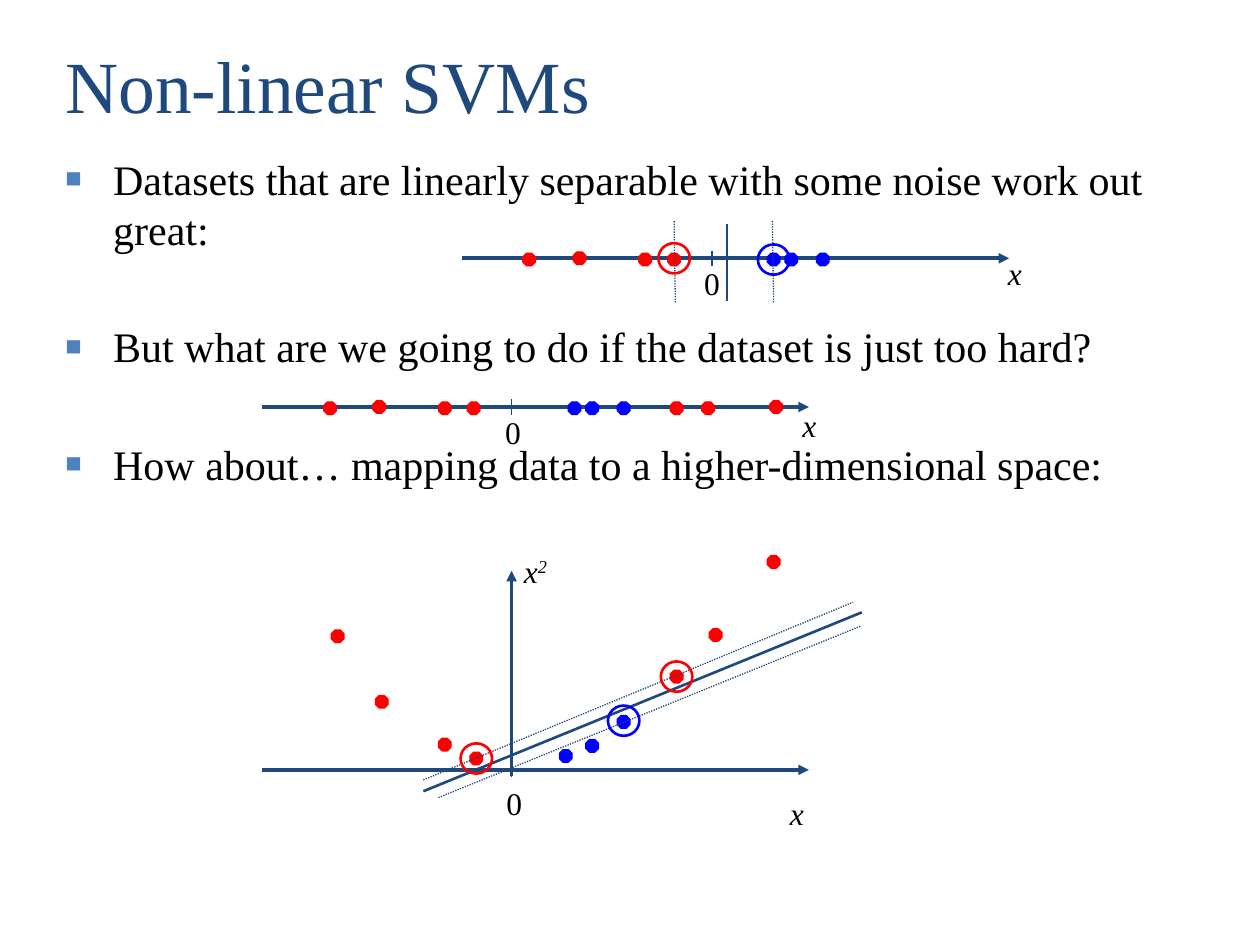
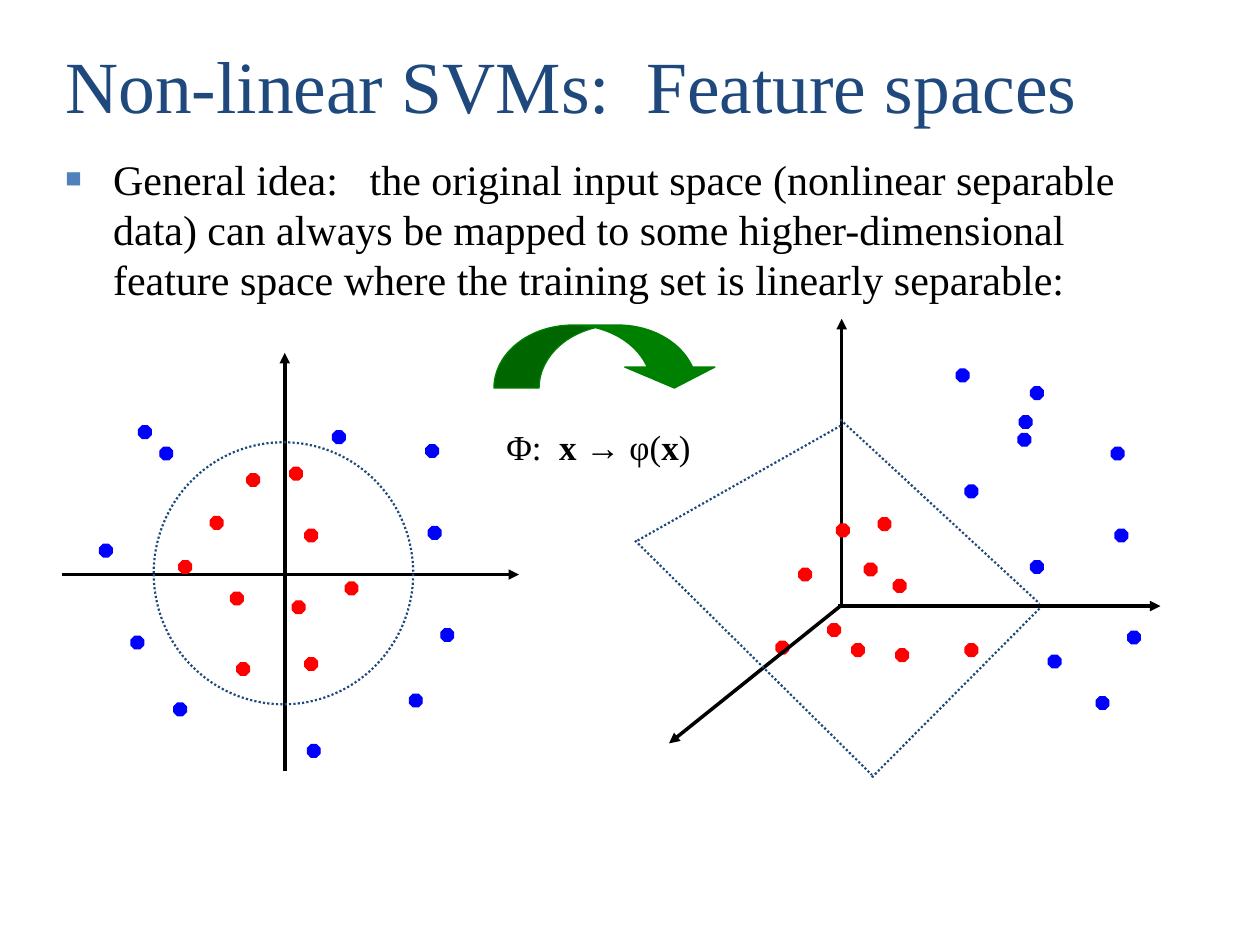
from lxml.etree import SubElement
from pptx import Presentation
from pptx.dml.color import RGBColor
from pptx.enum.dml import MSO_LINE_DASH_STYLE as Dash
from pptx.enum.shapes import MSO_CONNECTOR as Connector, MSO_SHAPE as Shape
from pptx.enum.text import MSO_ANCHOR as Anchor
from pptx.oxml.ns import qn
from pptx.util import Inches, Pt

COLORS = {"navy": "1F497D", "bullet": "4F81BD", "black": "000000",
          "red": "FF0000", "blue": "0000FF", "green": "008000"}
FONT = "Times New Roman"
SLIDE_WIDTH, SLIDE_HEIGHT = 10, 7.5
MARGIN = 0.42
DOT_SIZE = 0.1
RING_SIZE = (0.25, 0.24)
AXIS_REACH = (-1.98, 2.36)  # ends of a number line, measured from its zero
BULLET_INDENT = 0.38
LINE_PITCH = 28.6

# A run is a string or (text, format).
WIDE_SPACE = (" ", {"spacing": 10})
EXTRA_WIDE_SPACE = (" ", {"spacing": 12})

NOISY_TITLE = ["Non-linear SVMs"]
NOISY_BULLETS = [
    ["Datasets that are linearly separable with some noise work out great:"],
    ["But what are we going to do if the dataset is just too hard?"],
    ["How about… mapping data to a higher-dimensional space:"],
]
FEATURE_TITLE = ["Non-linear SVMs:", WIDE_SPACE, "Feature spaces"]
FEATURE_BULLETS = [
    ["General idea:", EXTRA_WIDE_SPACE,
     "the original input space (nonlinear separable data) can always be mapped "
     "to some higher-dimensional feature space where the training set is "
     "linearly separable:"],
]
MAPPING = ["Φ:", ("  "[:1], {"spacing": 5}), ("x → ", {"bold": True}),
           "φ(", ("x", {"bold": True}), ")"]

# Dots and lines are (right of zero, above the axis).
PLOTS = {
    "separable": {
        "zero": (5.65, 2.05), "zero_label": (-0.16, 0), "x_label": (2.25, -0.08),
        "red": [(-1.45, -0.01), (-1.05, 0), (-0.53, -0.01), (-0.3, -0.01)],
        "blue": [(0.63, -0.01), (0.88, -0.01), (0.49, -0.01)],
        "support": {"red": [(-0.3, 0)], "blue": [(0.49, -0.01)]},
        "boundary": [(0.12, 0.27), (0.12, -0.34)],
        "margins": [[(0.49, -0.35), (0.48, 0.3)], [(-0.29, -0.35), (-0.3, 0.3)]],
    },
    "too hard": {
        "zero": (4.06, 3.23), "zero_label": (-0.15, 0), "x_label": (2.21, -0.06),
        "red": [(-1.44, -0.01), (-1.05, 0), (-0.53, -0.01), (-0.3, -0.01),
                (1.31, -0.01), (1.56, -0.01), (2.1, 0)],
        "blue": [(0.64, -0.01), (0.89, -0.01), (0.5, -0.01)],
    },
    "squared": {
        "zero": (4.06, 6.11), "zero_label": (-0.14, 0.06), "x_label": (2.11, 0.14),
        "red": [(-1.38, 1.06), (-1.03, 0.54), (-0.53, 0.2), (-0.28, 0.09),
                (1.31, 0.74), (1.62, 1.07), (2.08, 1.65)],
        "blue": [(0.64, 0.19), (0.89, 0.38), (0.43, 0.11)],
        "support": {"red": [(1.31, 0.74), (-0.28, 0.09)], "blue": [(0.89, 0.39)]},
        "boundary": [(-0.7, -0.17), (2.78, 1.25)],
        "margins": [[(-0.7, -0.08), (2.71, 1.33)], [(-0.58, -0.22), (2.77, 1.14)]],
        "vertical": [(0, -0.05), (0, 1.58)],
    },
}

# Dot centres and line ends in inches on the slide.
INPUT_SPACE = {
    "axes": [[(2.26, 6.12), (2.26, 2.8)], [(0.49, 4.56), (4.12, 4.56)]],
    "red": [(2.35, 3.76), (1.72, 4.15), (1.88, 4.75), (2.47, 5.27), (2.01, 3.81),
            (1.47, 4.5), (1.93, 5.31), (2.47, 4.25), (2.79, 4.67), (2.37, 4.82)],
    "blue": [(3.45, 4.23), (3.3, 5.56), (0.84, 4.37), (2.49, 5.96), (3.55, 5.04),
             (1.43, 5.63), (1.09, 5.1), (1.15, 3.43), (2.69, 3.47), (1.32, 3.6),
             (3.43, 3.58)],
}
FEATURE_SPACE = {
    "axes": [[(6.68, 4.79), (6.68, 2.53)], [(6.65, 4.81), (9.21, 4.81)]],
    "red": [(7.02, 4.16), (6.39, 4.56), (6.81, 5.16), (7.71, 5.16), (6.69, 4.21),
            (6.91, 4.52), (7.16, 5.2), (7.14, 4.65), (6.62, 5), (6.21, 5.14)],
    "blue": [(8.9, 4.25), (8.75, 5.58), (8.23, 3.12), (8.23, 4.5), (9, 5.06),
             (7.71, 3.9), (8.37, 5.25), (8.14, 3.35), (8.13, 3.49), (7.64, 2.98),
             (8.87, 3.6)],
}
DEPTH_AXIS = [(6.67, 4.81), (5.31, 5.9)]
SEPARATING_PLANE = [
    [(6.67, 3.33), (8.25, 4.79)], [(6.92, 6.17), (8.25, 4.83)],
    [(5.06, 4.29), (6.67, 3.38)], [(5.04, 4.29), (6.92, 6.15)],
]


def rgb(name):
    return RGBColor.from_string(COLORS[name])


def add_bullet(paragraph):
    properties = paragraph._p.get_or_add_pPr()
    properties.set("marL", str(Inches(BULLET_INDENT)))
    properties.set("indent", str(-Inches(BULLET_INDENT)))
    color = SubElement(properties, qn("a:buClr"))
    SubElement(color, qn("a:srgbClr"), val=COLORS["bullet"])
    SubElement(properties, qn("a:buSzPct"), val="65000")
    SubElement(properties, qn("a:buFont"), typeface=FONT)
    SubElement(properties, qn("a:buChar"), char="■")


def add_text(slide, box, paragraphs, size=18, color="black", italic=False,
             bullets=False, gap=0, pitch=None, anchor=Anchor.TOP):
    """Write paragraphs, each a list of runs, into a text box."""
    shape = slide.shapes.add_textbox(*map(Inches, box))
    frame = shape.text_frame
    frame.word_wrap = True
    frame.vertical_anchor = anchor
    for index, runs in enumerate(paragraphs):
        paragraph = frame.add_paragraph() if index else frame.paragraphs[0]
        if pitch:
            paragraph.line_spacing = Pt(pitch)
        if index:
            paragraph.space_before = Pt(gap)
        if bullets:
            add_bullet(paragraph)
        for item in runs:
            text, style = (item, {}) if isinstance(item, str) else item
            run = paragraph.add_run()
            run.text = text
            font = run.font
            font.name, font.size = FONT, Pt(size)
            font.italic, font.bold = italic, style.get("bold", False)
            font.color.rgb = rgb(color)
            if "spacing" in style:
                font._element.set("spc", str(round(style["spacing"] * 100)))
            if "raised" in style:
                font._element.set("baseline", str(style["raised"] * 1000))


def add_line(slide, ends, color="navy", width=2.0, arrow=False, dotted=False):
    (x1, y1), (x2, y2) = ends
    connector = slide.shapes.add_connector(
        Connector.STRAIGHT, *map(Inches, (x1, y1, x2, y2)))
    line = connector.line
    line.color.rgb, line.width = rgb(color), Pt(width)
    if dotted:
        line.dash_style = Dash.ROUND_DOT
    if arrow:
        SubElement(line._get_or_add_ln(), qn("a:tailEnd"), type="triangle")
    SubElement(connector._element.spPr, qn("a:effectLst"))


def add_figure(slide, kind, box, color, filled=True, width=0.75):
    shape = slide.shapes.add_shape(kind, *map(Inches, box))
    shape.shadow.inherit = False
    if filled:
        shape.fill.solid()
        shape.fill.fore_color.rgb = rgb(color)
    else:
        shape.fill.background()
    shape.line.color.rgb, shape.line.width = rgb(color), Pt(width)
    return shape


def centred(point, width, height):
    return point[0] - width / 2, point[1] - height / 2, width, height


def add_dots(slide, points, color):
    for point in points:
        dot = add_figure(slide, Shape.OCTAGON, centred(point, DOT_SIZE, DOT_SIZE), color)
        dot.adjustments[0] = 0.293


def add_number_line(slide, plot):
    """Draw an axis with its zero, dots, support vectors and boundary."""
    zero_x, zero_y = plot["zero"]

    def place(points):
        return [(zero_x + right, zero_y - up) for right, up in points]

    def label(offset, runs, width, italic=True):
        box = (zero_x + offset[0], zero_y + offset[1], width, 0.4)
        add_text(slide, box, [runs], italic=italic)

    add_line(slide, place([(reach, 0) for reach in AXIS_REACH]), arrow=True)
    add_line(slide, place([(0, 0.06), (0, -0.06)]), width=0.75)
    label(plot["zero_label"], ["0"], 0.38, italic=False)
    label(plot["x_label"], ["x"], 0.5)
    for color in ("red", "blue"):
        add_dots(slide, place(plot[color]), color)
    if "vertical" in plot:
        add_line(slide, place(plot["vertical"]), arrow=True)
        label((0, -1.78), ["x", ("2", {"raised": 30})], 0.5)
    if "boundary" in plot:
        add_line(slide, place(plot["boundary"]), width=1.5)
        for margin in plot["margins"]:
            add_line(slide, place(margin), width=0.75, dotted=True)
        for color, points in plot["support"].items():
            for point in place(points):
                add_figure(slide, Shape.OVAL, centred(point, *RING_SIZE), color,
                           filled=False, width=1.5)


def add_scatter(slide, space):
    for axis in space["axes"]:
        add_line(slide, axis, color="black", arrow=True)
    for color in ("red", "blue"):
        add_dots(slide, space[color], color)


def add_content_slide(presentation, title, bullets):
    slide = presentation.slides.add_slide(presentation.slide_layouts[6])
    add_text(slide, (MARGIN, 0.25, 8.5, 0.83), [title], size=42, color="navy",
             anchor=Anchor.MIDDLE)
    add_text(slide, (MARGIN, 1.17, 9, 5.5), bullets, size=24, bullets=True,
             gap=38.5, pitch=LINE_PITCH)
    return slide


def build_noisy_slide(presentation):
    slide = add_content_slide(presentation, NOISY_TITLE, NOISY_BULLETS)
    for plot in PLOTS.values():
        add_number_line(slide, plot)


def build_feature_slide(presentation):
    slide = add_content_slide(presentation, FEATURE_TITLE, FEATURE_BULLETS)
    add_scatter(slide, INPUT_SPACE)
    add_figure(slide, Shape.OVAL, (1.22, 3.51, 2.06, 2.08), "navy",
               filled=False, width=1.25).line.dash_style = Dash.ROUND_DOT
    add_scatter(slide, FEATURE_SPACE)
    add_line(slide, DEPTH_AXIS, color="black", arrow=True)
    for edge in SEPARATING_PLANE:
        add_line(slide, edge, width=1.25, dotted=True)
    arrow = add_figure(slide, Shape.CURVED_DOWN_ARROW, (3.92, 2.58, 1.79, 0.5), "green")
    for index, value in enumerate((0.717, 1.433, 0.333)):
        arrow.adjustments[index] = value
    add_text(slide, (3.92, 3.33, 2.08, 0.43), [MAPPING], size=20)


def main():
    presentation = Presentation()
    presentation.slide_width = Inches(SLIDE_WIDTH)
    presentation.slide_height = Inches(SLIDE_HEIGHT)
    build_noisy_slide(presentation)
    build_feature_slide(presentation)
    presentation.save("out.pptx")


if __name__ == "__main__":
    main()
